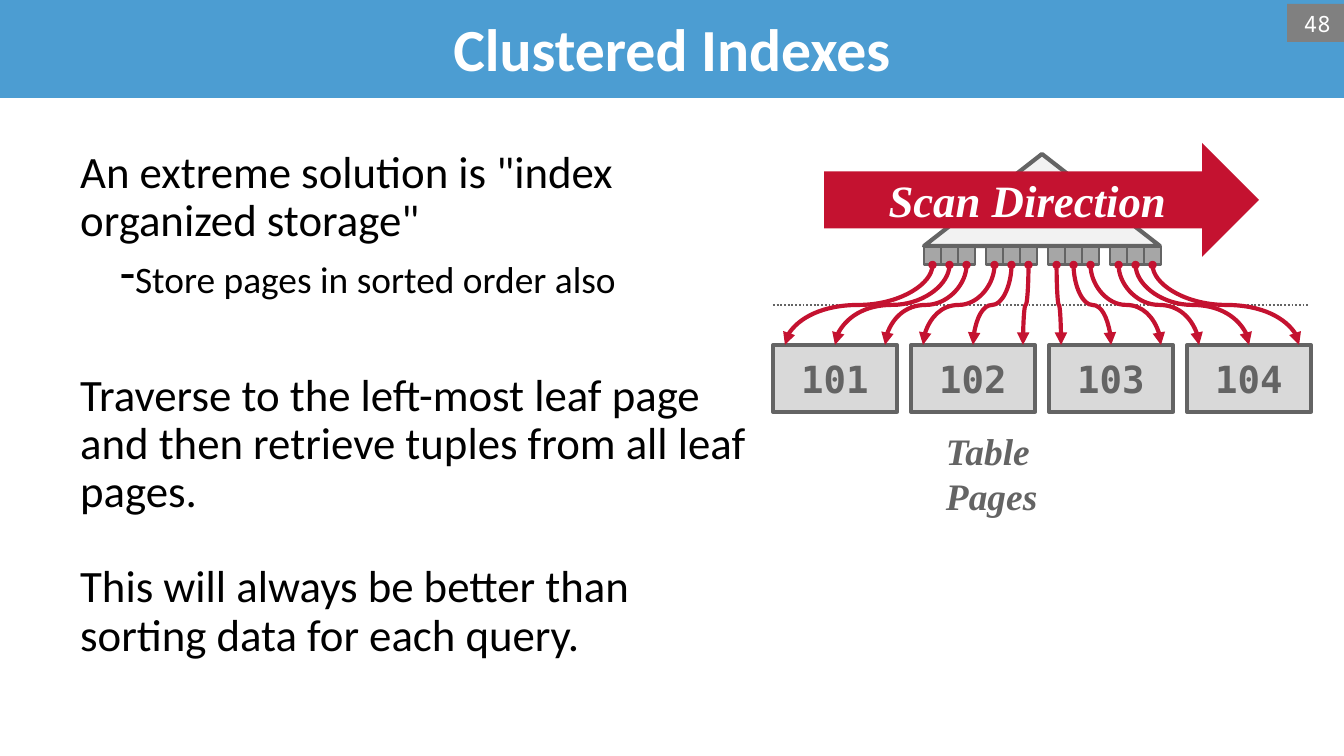
from lxml.etree import SubElement
from pptx import Presentation
from pptx.dml.color import RGBColor
from pptx.enum.dml import MSO_LINE
from pptx.enum.shapes import MSO_CONNECTOR as CONNECTOR, MSO_SHAPE as SHAPE
from pptx.enum.text import MSO_ANCHOR as ANCHOR, PP_ALIGN as ALIGN
from pptx.oxml.ns import qn
from pptx.util import Pt

PX = 914400 / 134.4
BLUE = RGBColor(0x4C, 0x9D, 0xD2)
RED = RGBColor(0xC4, 0x12, 0x30)
WHITE = RGBColor(0xFF, 0xFF, 0xFF)
BLACK = RGBColor(0, 0, 0)
DARK = RGBColor(0x64, 0x64, 0x64)
GRAY = RGBColor(0x80, 0x80, 0x80)
CELL = RGBColor(0xA6, 0xA6, 0xA6)
PAGE = RGBColor(0xD9, 0xD9, 0xD9)
PALE = RGBColor(0xF2, 0xF2, 0xF2)


def px(*values):
    return [round(value * PX) for value in values]


def add_box(kind, box, fill, line_width=0, text="", align=ALIGN.CENTER, **font):
    """Add a filled preset shape, outlined when line_width is given."""
    shape = slide.shapes.add_shape(kind, *px(*box))
    shape.shadow.inherit = False
    shape.fill.solid()
    shape.fill.fore_color.rgb = fill
    if line_width:
        shape.line.color.rgb = DARK
        shape.line.width = Pt(line_width)
    else:
        shape.line.fill.background()
    if text:
        color = font.pop("color")
        paragraph = shape.text_frame.paragraphs[0]
        paragraph.text = text
        paragraph.alignment = align
        paragraph.font.color.rgb = color
        for name, value in font.items():
            setattr(paragraph.font, name, value)
    return shape


presentation = Presentation()
presentation.slide_width, presentation.slide_height = px(1344, 756)
slide = presentation.slides.add_slide(presentation.slide_layouts[5])

# Title bar and page number
title = slide.shapes.title
title.left, title.top, title.width, title.height = px(0, -3, 1344, 101)
title.fill.solid()
title.fill.fore_color.rgb = BLUE
title.text_frame.vertical_anchor = ANCHOR.MIDDLE
title.text_frame.margin_left = title.text_frame.margin_right = 0
paragraph = title.text_frame.paragraphs[0]
paragraph.text = "Clustered Indexes"
paragraph.alignment = ALIGN.CENTER
paragraph.font.color.rgb = WHITE
for name, value in dict(name="Calibri", size=Pt(32), bold=True).items():
    setattr(paragraph.font, name, value)

number = add_box(SHAPE.RECTANGLE, (1287, 4, 57, 38), GRAY, text="48", align=ALIGN.RIGHT,
                 name="Noto Sans Mono", size=Pt(12), color=WHITE)
number.text_frame.vertical_anchor = ANCHOR.TOP

# Body text: wording, size, space before, is a dash item
BODY = [
    ('An extreme solution is "index organized storage"', 24, 0, False),
    ("Store pages in sorted order also", 20, 8, True),
    ("Traverse to the left-most leaf page and then retrieve tuples from all leaf pages.",
     24, 38, False),
    ("This will always be better than\vsorting data for each query.", 24, 25, False),
]
body = slide.shapes.add_textbox(*px(67, 143, 699, 538)).text_frame
body.word_wrap = True
for index, (text, size, space, dashed) in enumerate(BODY):
    paragraph = body.add_paragraph() if index else body.paragraphs[0]
    paragraph.text = text
    paragraph.line_spacing = 0.9
    paragraph.space_before = Pt(space)
    if dashed:
        properties = paragraph._p.get_or_add_pPr()
        margin, indent = px(54, -14)
        properties.set("marL", str(margin))
        properties.set("indent", str(indent))
        SubElement(properties, qn("a:buSzPct"), val="120000")
        SubElement(properties, qn("a:buChar"), char="-")
    paragraph.font.name = "Calibri"
    paragraph.font.size = Pt(size)
    paragraph.font.color.rgb = BLACK

caption = slide.shapes.add_textbox(*px(937, 423, 184, 55)).text_frame
caption.word_wrap = True
caption.margin_left, caption.margin_top, caption.margin_right = px(9, 5, 9)
paragraph = caption.paragraphs[0]
paragraph.text = "Table Pages"
paragraph.font.color.rgb = DARK
for name, value in dict(name="Times New Roman", size=Pt(20), bold=True, italic=True).items():
    setattr(paragraph.font, name, value)

# Index tree: root triangle over four leaves of three cells
GROUPS, ENTRIES = 4, 3
CELL_LEFT, CELL_TOP, CELL_WIDTH, CELL_HEIGHT, LEAF_PITCH = 924, 247, 17, 18, 62
PAGE_LEFT, PAGE_TOP, PAGE_WIDTH, PAGE_HEIGHT, PAGE_PITCH = 773, 345, 124, 67, 138
CELL_BOTTOM = CELL_TOP + CELL_HEIGHT
add_box(SHAPE.ISOSCELES_TRIANGLE, (924, 154, 236, 92), PALE, 2.25)
for group in range(GROUPS):
    for entry in range(ENTRIES):
        left = CELL_LEFT + group * LEAF_PITCH + entry * CELL_WIDTH
        add_box(SHAPE.RECTANGLE, (left, CELL_TOP, CELL_WIDTH, CELL_HEIGHT), CELL, 1.5)

divider = slide.shapes.add_connector(CONNECTOR.STRAIGHT, *px(773, 305, 1310, 305))
divider.line.color.rgb = DARK
divider.line.width = Pt(1)
divider.line.dash_style = MSO_LINE.ROUND_DOT
SubElement(divider._element.spPr, qn("a:effectLst"))

# Table pages
for group in range(GROUPS):
    page = add_box(SHAPE.RECTANGLE,
                   (PAGE_LEFT + group * PAGE_PITCH, PAGE_TOP, PAGE_WIDTH, PAGE_HEIGHT),
                   PAGE, 2, text=str(101 + group),
                   name="DejaVu Sans Mono", size=Pt(20), bold=True, color=DARK)
    page.text_frame.margin_left = page.text_frame.margin_right = Pt(3.6)

# Pointers from each cell to its page; a quarter turn makes the curve leave downwards
for group in range(GROUPS):
    for entry in range(ENTRIES):
        start = CELL_LEFT + group * LEAF_PITCH + (entry + 0.5) * CELL_WIDTH
        end = PAGE_LEFT + group * PAGE_PITCH + 12 + entry * (PAGE_WIDTH - 24) / 2
        middle_x, middle_y = (start + end) / 2, (CELL_BOTTOM + PAGE_TOP) / 2
        leftward = end < start
        reach = (PAGE_TOP - CELL_BOTTOM) / 2 * (1 if leftward else -1)
        spread = abs(end - start) / 2
        pointer = slide.shapes.add_connector(
            CONNECTOR.CURVE, *px(middle_x - reach, middle_y - spread,
                                 middle_x + reach, middle_y + spread))
        properties = pointer._element.spPr
        properties.find(qn("a:xfrm")).set("rot", "5400000" if leftward else "16200000")
        pointer.line.color.rgb = RED
        pointer.line.width = Pt(2.25)
        line = properties.find(qn("a:ln"))
        SubElement(line, qn("a:headEnd"), type="oval", w="sm", len="sm")
        SubElement(line, qn("a:tailEnd"), type="triangle")
        SubElement(properties, qn("a:effectLst"))

scan = add_box(SHAPE.RIGHT_ARROW, (824, 143, 435, 114), RED, text="Scan Direction",
               name="Times New Roman", size=Pt(24), bold=True, italic=True, color=WHITE)
scan.text_frame.word_wrap = False

presentation.save("out.pptx")
